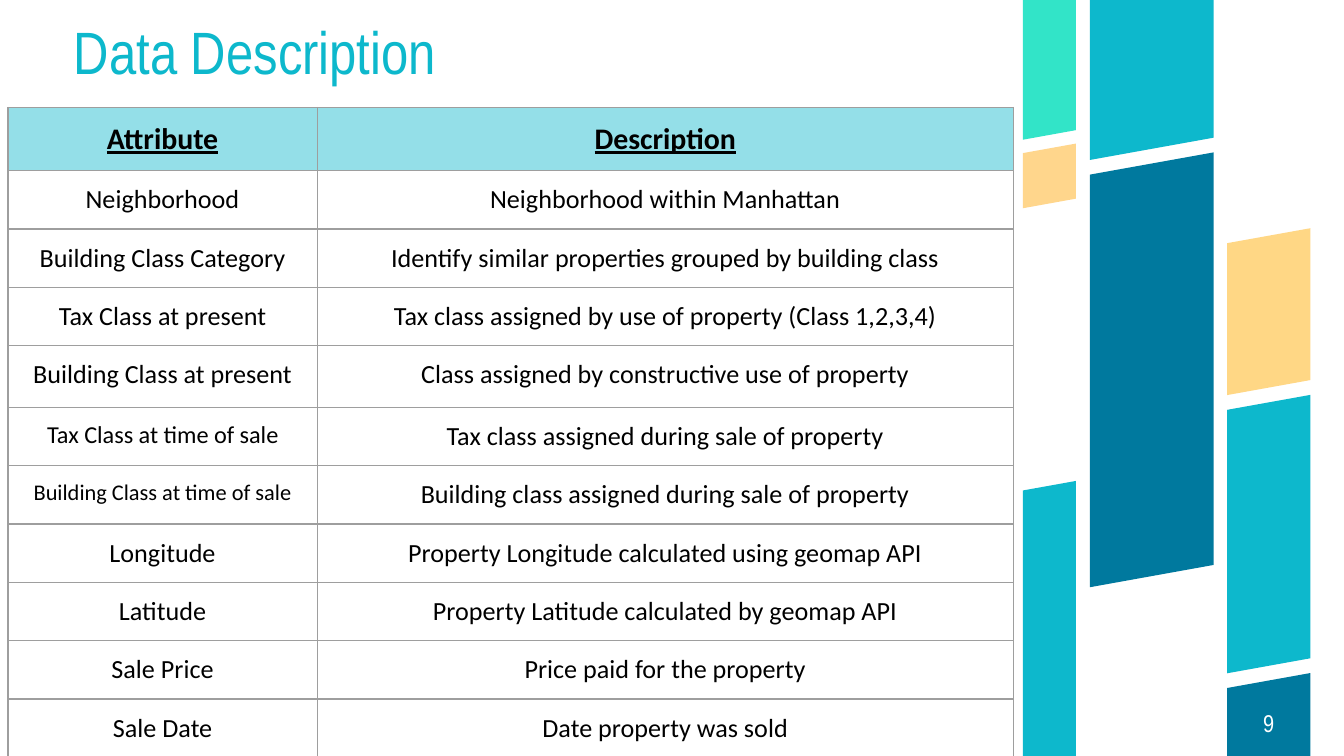
import dataclasses
import typing

import lxml.etree
import pptx
import pptx.dml.color
import pptx.enum.text
import pptx.oxml.ns
import pptx.util

GRID_COLUMNS = 1000
GRID_ROWS = 562.5
UNIT = pptx.util.Inches(10) / GRID_COLUMNS
SLOPE = 0.18


@dataclasses.dataclass(frozen=True)
class Theme:
    teal: str = "0DB8CC"
    blue: str = "00799E"
    mint: str = "32E4C8"
    sand: str = "FFD68C"
    gold: str = "FFD785"
    white: str = "FFFFFF"
    black: str = "000000"
    border: str = "9E9E9E"
    header_opacity: int = 44
    border_width: float = 0.75
    display_font: str = "Arial Narrow"
    table_font: str = "Calibri"
    title_size: int = 32
    header_size: int = 16
    body_size: int = 14
    compact_size: int = 13
    small_size: int = 12
    number_size: int = 13


class Rail(typing.NamedTuple):
    left: float
    width: float


class Panel(typing.NamedTuple):
    rail: Rail
    top: float
    bottom: float
    color: str


class Attribute(typing.NamedTuple):
    name: str
    description: str
    name_size: int
    height: float = 43


THEME = Theme()
NARROW = Rail(761, 39.5)
WIDE = Rail(811, 92)
OUTER = Rail(913, 62)

PANELS = [
    Panel(NARROW, 365, GRID_ROWS, THEME.teal),
    Panel(NARROW, 114, 155, THEME.sand),
    Panel(NARROW, 0, 104, THEME.mint),
    Panel(WIDE, 130, 437, THEME.blue),
    Panel(WIDE, 0, 119, THEME.teal),
    Panel(OUTER, 181, 294, THEME.gold),
    Panel(OUTER, 512, GRID_ROWS, THEME.blue),
    Panel(OUTER, 305, 501, THEME.teal),
]

BODY = THEME.body_size
ATTRIBUTES = [
    Attribute("Neighborhood", "Neighborhood within Manhattan", BODY),
    Attribute("Building Class Category", "Identify similar properties grouped by building class", BODY),
    Attribute("Tax Class at present", "Tax class assigned by use of property (Class 1,2,3,4)", BODY),
    Attribute("Building Class at present", "Class assigned by constructive use of property", BODY, 46),
    Attribute("Tax Class at time of sale", "Tax class assigned during sale of property", THEME.compact_size),
    Attribute("Building Class at time of sale", "Building class assigned during sale of property", THEME.small_size),
    Attribute("Longitude", "Property Longitude calculated using geomap API", BODY),
    Attribute("Latitude", "Property Latitude calculated by geomap API", BODY),
    Attribute("Sale Price", "Price paid for the property", BODY),
    Attribute("Sale Date", "Date property was sold", BODY),
]


def grid(units: float) -> pptx.util.Emu:
    return pptx.util.Emu(round(units * UNIT))


def rgb(color: str) -> pptx.dml.color.RGBColor:
    return pptx.dml.color.RGBColor.from_string(color)


def write(frame, text: str, *, size: int, font: str, color: str,
          centered: bool = True, heading: bool = False,
          line_spacing: typing.Optional[float] = None) -> None:
    para = frame.paragraphs[0]
    if centered:
        para.alignment = pptx.enum.text.PP_ALIGN.CENTER
    if line_spacing:
        para.line_spacing = line_spacing
    span = para.add_run()
    span.text = text
    span.font.name = font
    span.font.size = pptx.util.Pt(size)
    span.font.color.rgb = rgb(color)
    span.font.bold = heading
    span.font.underline = heading


def draw_panel(page, panel: Panel) -> None:
    left, right = panel.rail.left, panel.rail.left + panel.rail.width
    rise = panel.rail.width * SLOPE
    right_top = panel.top - rise if panel.top > 0 else 0
    right_bottom = panel.bottom - rise if panel.bottom < GRID_ROWS else GRID_ROWS
    builder = page.shapes.build_freeform(grid(left), grid(panel.top))
    builder.add_line_segments([
        (grid(right), grid(right_top)),
        (grid(right), grid(right_bottom)),
        (grid(left), grid(panel.bottom)),
    ])
    shape = builder.convert_to_shape()
    shape.shadow.inherit = False
    shape.fill.solid()
    shape.fill.fore_color.rgb = rgb(panel.color)
    shape.line.fill.background()


def add_box(page, left: float, top: float, width: float, height: float,
            anchor: pptx.enum.text.MSO_ANCHOR):
    box = page.shapes.add_textbox(grid(left), grid(top), grid(width), grid(height))
    frame = box.text_frame
    frame.word_wrap = True
    frame.vertical_anchor = anchor
    frame.margin_left = frame.margin_right = frame.margin_top = frame.margin_bottom = 0
    return frame


def add_child(parent, tag: str, **attributes: str):
    return lxml.etree.SubElement(parent, pptx.oxml.ns.qn(tag), attributes)


def draw_borders(cell) -> None:
    properties = cell._tc.get_or_add_tcPr()
    width = str(pptx.util.Pt(THEME.border_width))
    for side in "LRTB":
        line = add_child(properties, f"a:ln{side}", w=width)
        add_child(add_child(line, "a:solidFill"), "a:srgbClr", val=THEME.border)


def fill_cell(cell, text: str, size: int, heading: bool = False) -> None:
    cell.margin_left = cell.margin_right = cell.margin_top = cell.margin_bottom = grid(10)
    draw_borders(cell)
    if heading:
        cell.fill.solid()
        cell.fill.fore_color.rgb = rgb(THEME.teal)
        swatch = cell._tc.tcPr.find(".//" + pptx.oxml.ns.qn("a:srgbClr") + f"[@val='{THEME.teal}']")
        add_child(swatch, "a:alpha", val=str(THEME.header_opacity * 1000))
    else:
        cell.fill.background()
    write(cell.text_frame, text, size=size, font=THEME.table_font,
          color=THEME.black, heading=heading)


def draw_table(page, attributes: list[Attribute]) -> None:
    widths = [230, 518]
    heights = [47] + [attribute.height for attribute in attributes]
    table = page.shapes.add_table(
        len(heights), len(widths), grid(6), grid(80),
        grid(sum(widths)), grid(sum(heights))).table
    for column, width in zip(table.columns, widths):
        column.width = grid(width)
    for row, height in zip(table.rows, heights):
        row.height = grid(height)
    for index, label in enumerate(("Attribute", "Description")):
        fill_cell(table.cell(0, index), label, THEME.header_size, heading=True)
    for index, attribute in enumerate(attributes, start=1):
        fill_cell(table.cell(index, 0), attribute.name, attribute.name_size)
        fill_cell(table.cell(index, 1), attribute.description, THEME.body_size)


def main() -> None:
    deck = pptx.Presentation()
    deck.slide_width = grid(GRID_COLUMNS)
    deck.slide_height = grid(GRID_ROWS)
    page = deck.slides.add_slide(deck.slide_layouts[6])
    for panel in PANELS:
        draw_panel(page, panel)
    title = add_box(page, 55, 22, 668, 43, pptx.enum.text.MSO_ANCHOR.BOTTOM)
    write(title, "Data Description", size=THEME.title_size, font=THEME.display_font,
          color=THEME.teal, centered=False, line_spacing=0.9)
    number = add_box(page, OUTER.left, 513, OUTER.width, 49.5, pptx.enum.text.MSO_ANCHOR.MIDDLE)
    write(number, "9", size=THEME.number_size, font=THEME.display_font, color=THEME.white)
    draw_table(page, ATTRIBUTES)
    deck.save("out.pptx")


if __name__ == "__main__":
    main()
